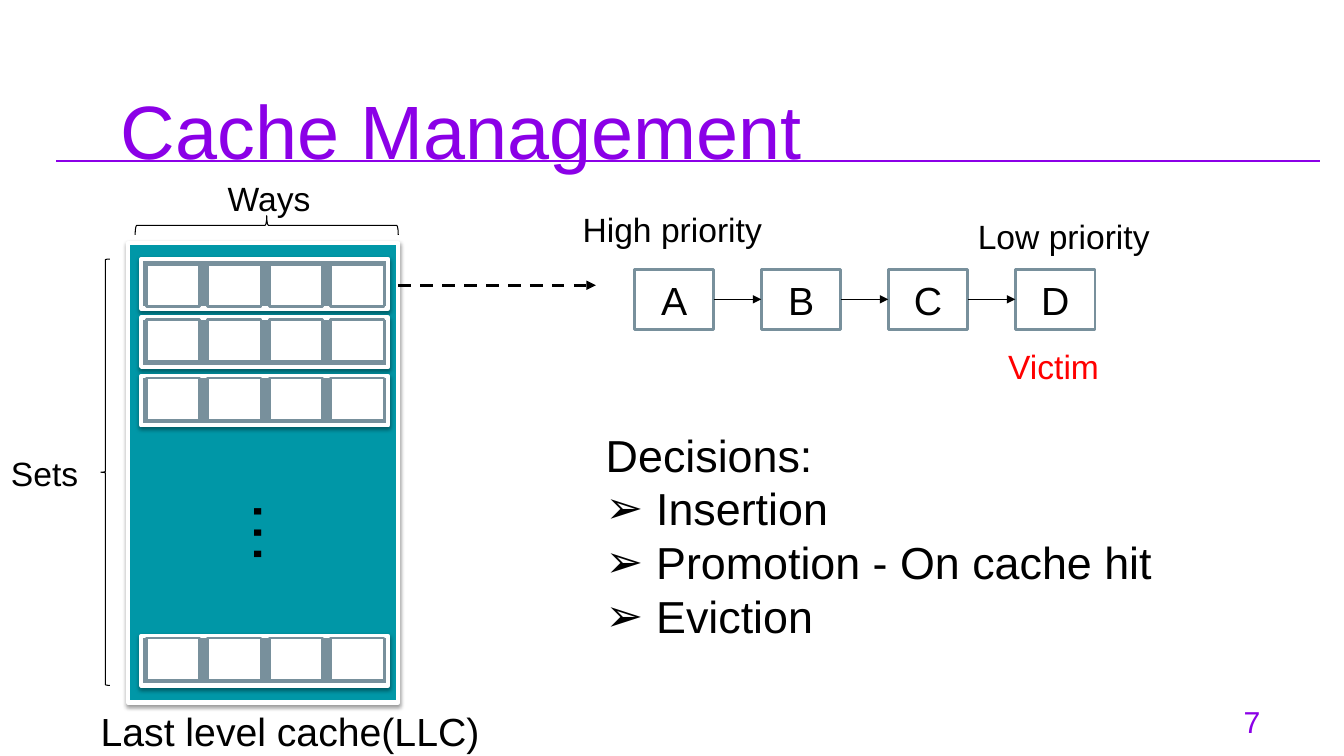
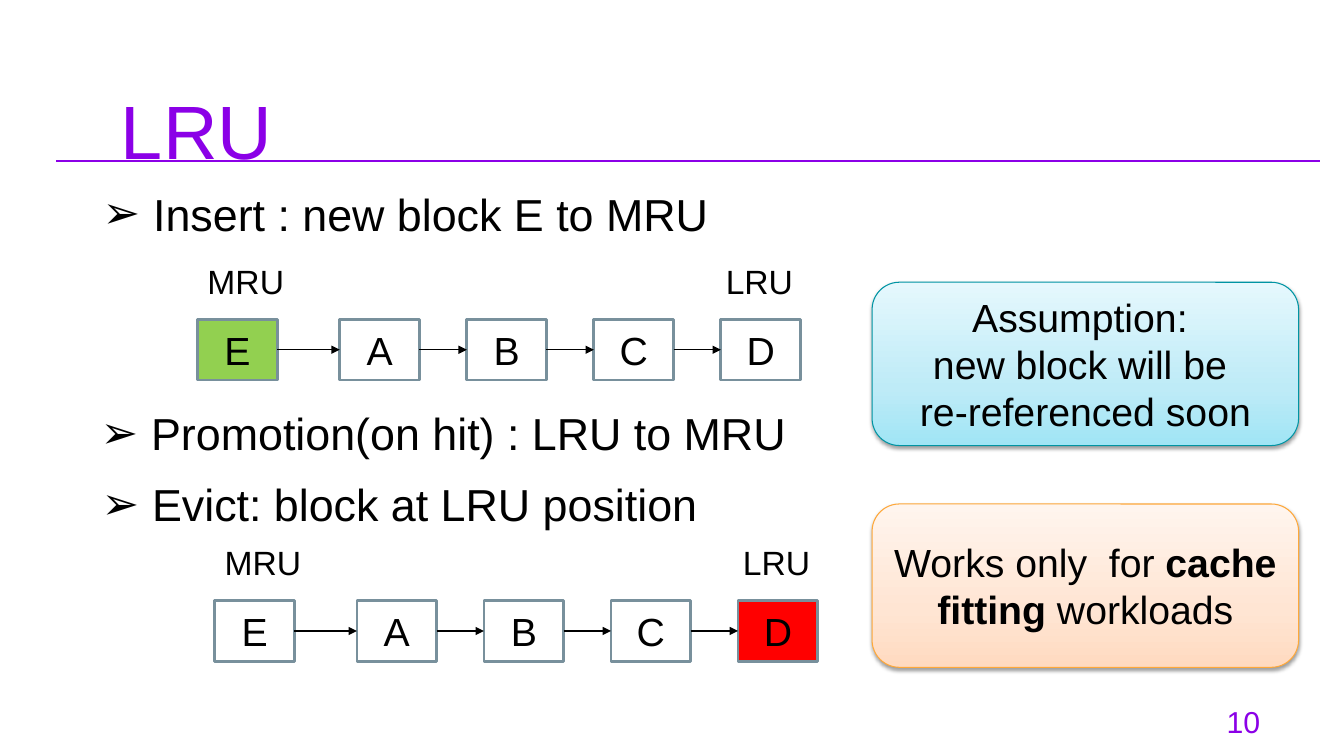
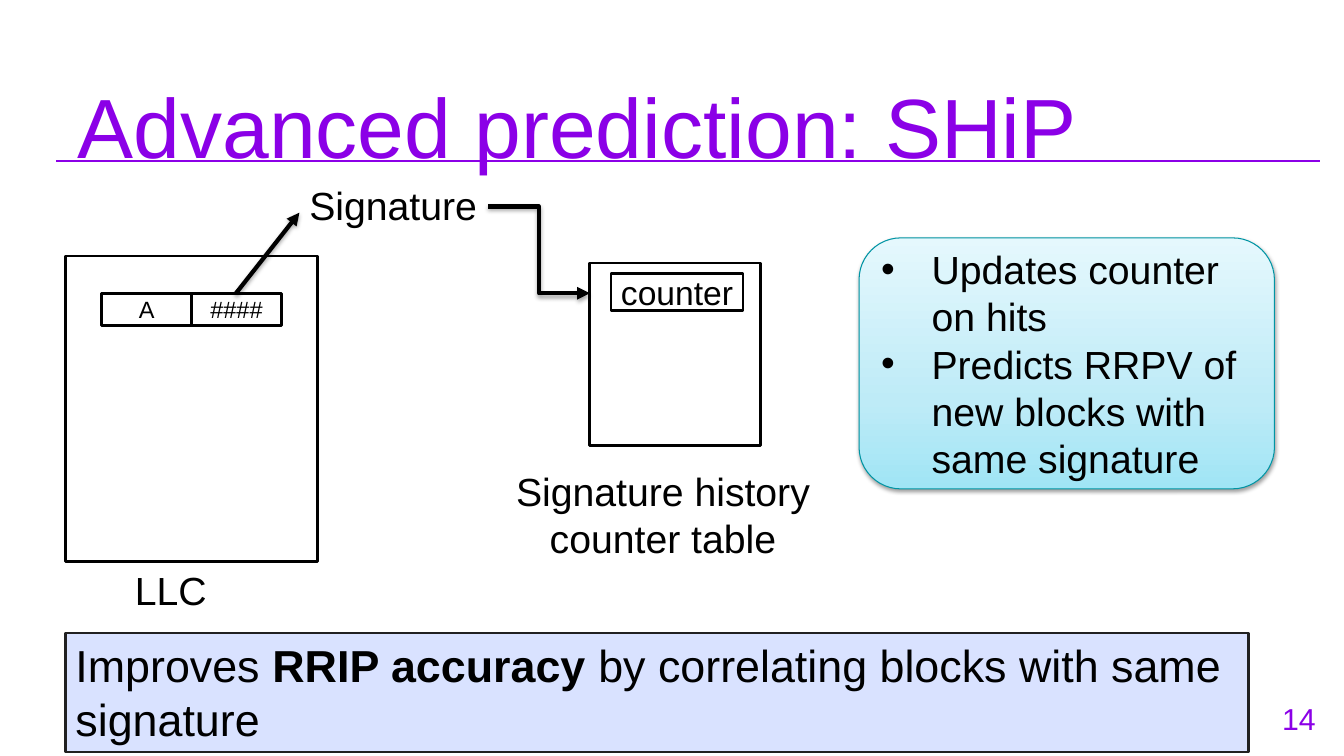
import pptx
import pptx.dml.color
import pptx.enum.dml
import pptx.enum.shapes
import pptx.enum.text
import pptx.oxml.ns
import pptx.util
from lxml import etree

RGB = pptx.dml.color.RGBColor
SHAPE = pptx.enum.shapes.MSO_SHAPE
LINK = pptx.enum.shapes.MSO_CONNECTOR
ALIGN = pptx.enum.text.PP_ALIGN
ANCHOR = pptx.enum.text.MSO_ANCHOR
qn = pptx.oxml.ns.qn

# Style
PX = 9144  # EMU per px, 100 px to the inch
FONT = "Arial"
PURPLE = RGB(0x8B, 0x00, 0xE7)
BLACK = RGB(0x00, 0x00, 0x00)
WHITE = RGB(0xFF, 0xFF, 0xFF)
RED = RGB(0xFF, 0x00, 0x00)
GREEN = RGB(0x92, 0xD0, 0x50)
TEAL = RGB(0x00, 0x97, 0xA7)
SLATE = RGB(0x78, 0x90, 0x9C)
LAVENDER = RGB(0xD9, 0xE2, 0xFF)
INK = RGB(0x21, 0x21, 0x21)
BLUE_EDGE = RGB(0x00, 0x94, 0xA3)
ORANGE_EDGE = RGB(0xFE, 0xA8, 0x3A)
# Gradients run from the bottom edge to the top edge
BLUE_FADE = ((0, RGB(0xA0, 0xE5, 0xF5)), (35, RGB(0xBE, 0xEB, 0xF7)), (100, RGB(0xE5, 0xF8, 0xFD)))
ORANGE_FADE = ((0, RGB(0xFF, 0xDA, 0xC0)), (35, RGB(0xFF, 0xE5, 0xD3)), (100, RGB(0xFF, 0xF5, 0xEE)))
BULLETS = ("➢ ", "• ")

# Chain of cache blocks
BLOCK_W, BLOCK_H, BLOCK_PITCH = 79, 60, 126
NEW_BLOCK_PITCH = 141


def add_xml(parent, tag, **attributes):
    return etree.SubElement(parent, qn(tag), {k: str(v) for k, v in attributes.items()})


class Deck:
    def __init__(self):
        self.prs = pptx.Presentation()
        self.prs.slide_width, self.prs.slide_height = 1333 * PX, 750 * PX
        self.slide = None

    def new_slide(self, title, number, title_at=(108, 64, 1118, 84), title_size=54, number_at=(1177, 687)):
        self.slide = self.prs.slides.add_slide(self.prs.slide_layouts[6])
        self.line((56, 160), (1309, 160), PURPLE, 1.5)
        heading = self.text(title_at, title, title_size, PURPLE)
        page = self.text((*number_at, 85, 57), number, 21.6, PURPLE, ALIGN.RIGHT, anchor=ANCHOR.MIDDLE)
        for box in (heading, page):
            frame = box.text_frame
            frame.margin_left = frame.margin_right = frame.margin_top = frame.margin_bottom = 12 * PX
        heading.text_frame.margin_top = 19 * PX

    def set_text(self, shape, text, size, color=BLACK, align=ALIGN.LEFT, anchor=ANCHOR.TOP, wrap=True):
        """One paragraph per line; ** switches bold, a leading bullet sign makes a list item."""
        frame = shape.text_frame
        frame.word_wrap = wrap
        frame.vertical_anchor = anchor
        for i, line in enumerate(text.split("\n")):
            paragraph = frame.add_paragraph() if i else frame.paragraphs[0]
            paragraph.alignment = align
            if line.startswith(BULLETS):
                self.bullet(paragraph, line[0])
                line = line[2:]
            for j, piece in enumerate(line.split("**")):
                run = paragraph.add_run()
                run.text = piece
                run.font.name = FONT
                run.font.size = pptx.util.Pt(size)
                run.font.color.rgb = color
                run.font.bold = j % 2 == 1

    def bullet(self, paragraph, sign):
        props = paragraph._p.get_or_add_pPr()
        props.set("marL", str(50 * PX))
        props.set("indent", str(-50 * PX))
        add_xml(add_xml(props, "a:buClr"), "a:srgbClr", val=BLACK)
        add_xml(props, "a:buFont", typeface=FONT)
        add_xml(props, "a:buChar", char=sign)

    def text(self, at, text, size, color=BLACK, align=ALIGN.LEFT, **layout):
        box = self.slide.shapes.add_textbox(*(v * PX for v in at))
        self.set_text(box, text, size, color, align, **layout)
        return box

    def label(self, at, text, color=BLACK):
        return self.text((*at, 50), text, 24, color, wrap=False)

    def box(self, at, fill=WHITE, edge=BLACK, width=2, kind=SHAPE.RECTANGLE, text="", size=28,
            align=ALIGN.CENTER, anchor=ANCHOR.MIDDLE, shadow=False):
        shape = self.slide.shapes.add_shape(kind, *(v * PX for v in at))
        shape.shadow.inherit = False
        if fill is None:
            shape.fill.background()
        else:
            shape.fill.solid()
            shape.fill.fore_color.rgb = fill
        shape.line.color.rgb = edge
        shape.line.width = pptx.util.Pt(width)
        if shadow:
            self.drop_shadow(shape, 38, 1.6)
        if text:
            self.set_text(shape, text, size, align=align, anchor=anchor)
        return shape

    def callout(self, at, fade, edge, text, align=ALIGN.CENTER):
        shape = self.box(at, WHITE, edge, 0.75, SHAPE.ROUNDED_RECTANGLE, text, align=align, shadow=True)
        shape.fill.gradient()
        shape.fill.gradient_angle = 90
        stops = shape._element.spPr.find(".//" + qn("a:gsLst"))
        for stop in list(stops):
            stops.remove(stop)
        for place, color in fade:
            add_xml(add_xml(stops, "a:gs", pos=place * 1000), "a:srgbClr", val=color)

    def brace(self, at, rotation=0):
        self.box(at, None, BLACK, 0.75, SHAPE.LEFT_BRACE).rotation = rotation

    def drop_shadow(self, shape, alpha, distance):
        effects = shape._element.spPr.find(qn("a:effectLst"))
        cast = add_xml(effects, "a:outerShdw", blurRad=pptx.util.Pt(3.1), dist=pptx.util.Pt(distance),
                       dir=90 * 60000, rotWithShape=0)
        add_xml(add_xml(cast, "a:srgbClr", val=BLACK), "a:alpha", val=alpha * 1000)

    def line(self, start, end, color=BLACK, width=0.75, kind=LINK.STRAIGHT):
        line = self.slide.shapes.add_connector(kind, *(v * PX for v in (*start, *end)))
        line.line.color.rgb = color
        line.line.width = pptx.util.Pt(width)
        add_xml(line._element.spPr, "a:effectLst")
        return line

    def arrow(self, start, end, width=0.75, kind=LINK.STRAIGHT, dashed=False, shadow=False):
        arrow = self.line(start, end, BLACK, width, kind)
        if dashed:
            arrow.line.dash_style = pptx.enum.dml.MSO_LINE.DASH
        add_xml(arrow.line._get_or_add_ln(), "a:tailEnd", type="triangle")
        if shadow:
            self.drop_shadow(arrow, 35, 1.8)
        return arrow

    def chain(self, left, top, letters, fills=None, first_pitch=BLOCK_PITCH):
        previous = None
        middle = top + BLOCK_H // 2
        for i, letter in enumerate(letters):
            x = left + (first_pitch + (i - 1) * BLOCK_PITCH if i else 0)
            fill = (fills or {}).get(letter, WHITE)
            block = self.box((x, top, BLOCK_W, BLOCK_H), fill, SLATE, text=letter)
            if previous is not None:
                link = self.arrow((x - 40, middle), (x, middle))
                link.begin_connect(previous, 3)
                link.end_connect(block, 1)
            previous = block

    def recency_chain(self, left, top, fills):
        self.label((left, top - 63, 97), "MRU")
        self.label((left + 514, top - 63, 88), "LRU")
        self.chain(left, top, "EABCD", fills, NEW_BLOCK_PITCH)


def cache_management(deck):
    deck.new_slide("Cache Management", "7")

    # Cache with its sets and ways
    deck.box((127, 241, 268, 456), TEAL, WHITE, 3, shadow=True)
    for set_top, way_top in ((257, 262), (315, 317), (373, 375), (631, 633)):
        deck.box((140, set_top, 245, 49), SLATE, WHITE, 3, shadow=True)
        for way in range(4):
            deck.box((145 + 61 * way, way_top, 53, 42), WHITE, SLATE)
    deck.text((251, 468, 55, 91), "…", 48).rotation = 90
    deck.brace((100, 257, 9, 423))
    deck.brace((255, 93, 19, 261), 90)
    deck.label((1, 444, 88), "Sets")
    deck.label((216, 172, 104), "Ways")
    deck.text((90, 697, 403, 57), "Last level cache(LLC)", 28)

    # Priority order of one set
    deck.arrow((395, 283), (591, 283), 2.25, dashed=True)
    deck.chain(629, 267, "ABCD")
    deck.label((568, 202, 200), "High priority")
    deck.label((960, 209, 193), "Low priority")
    deck.label((990, 338, 112), "Victim", RED)

    deck.text((591, 419, 577, 226),
              "Decisions:\n➢ Insertion\n➢ Promotion - On cache hit\n➢ Eviction", 32)


def lru(deck):
    deck.new_slide("LRU", "10")

    # Policy steps
    for left, top, step in ((92, 180, "➢ Insert : new block E to MRU"),
                            (90, 398, "➢ Promotion(on hit) : LRU to MRU"),
                            (91, 468, "➢ Evict: block at LRU position")):
        deck.text((left, top, 745, 64), step, 32)
    deck.recency_chain(196, 317, {"E": GREEN})
    deck.recency_chain(213, 596, {"D": RED})

    # Remarks
    deck.callout((865, 280, 423, 162), BLUE_FADE, BLUE_EDGE,
                 "Assumption: \nnew block will be \nre-referenced soon")
    deck.callout((865, 500, 423, 162), ORANGE_FADE, ORANGE_EDGE,
                 "Works only  for **cache fitting** workloads")


def ship(deck):
    deck.new_slide("Advanced prediction: SHiP", "14", (65, 55, 1268, 84), 60, (1232, 684))

    # Cache line and its signature
    deck.box((65, 254, 250, 303))
    for i, field in enumerate(("A", "####")):
        deck.box((101 + 89 * i, 291, 89, 32), text=field, size=16.8)
    deck.text((124, 557, 220, 57), "LLC", 28)
    deck.arrow((234, 291), (297, 211), 3, shadow=True)
    deck.text((297, 175, 220, 57), "Signature", 28)

    # Counter table
    deck.box((585, 261, 169, 181))
    deck.box((606, 271, 131, 37), text="counter", size=24)
    deck.arrow((484, 205), (585, 291), 3, LINK.ELBOW, shadow=True)
    deck.text((483, 459, 349, 104), "Signature history counter table", 28, align=ALIGN.CENTER)

    # Remarks
    deck.callout((852, 236, 412, 249), BLUE_FADE, BLUE_EDGE,
                 "• Updates counter on hits\n• Predicts RRPV of new blocks with same signature", ALIGN.LEFT)
    deck.box((65, 628, 1173, 118), LAVENDER, INK, size=32, align=ALIGN.LEFT, anchor=ANCHOR.TOP,
             text="Improves **RRIP accuracy **by correlating blocks with same signature")


def main():
    deck = Deck()
    for build in (cache_management, lru, ship):
        build(deck)
    deck.prs.save("out.pptx")


if __name__ == "__main__":
    main()
